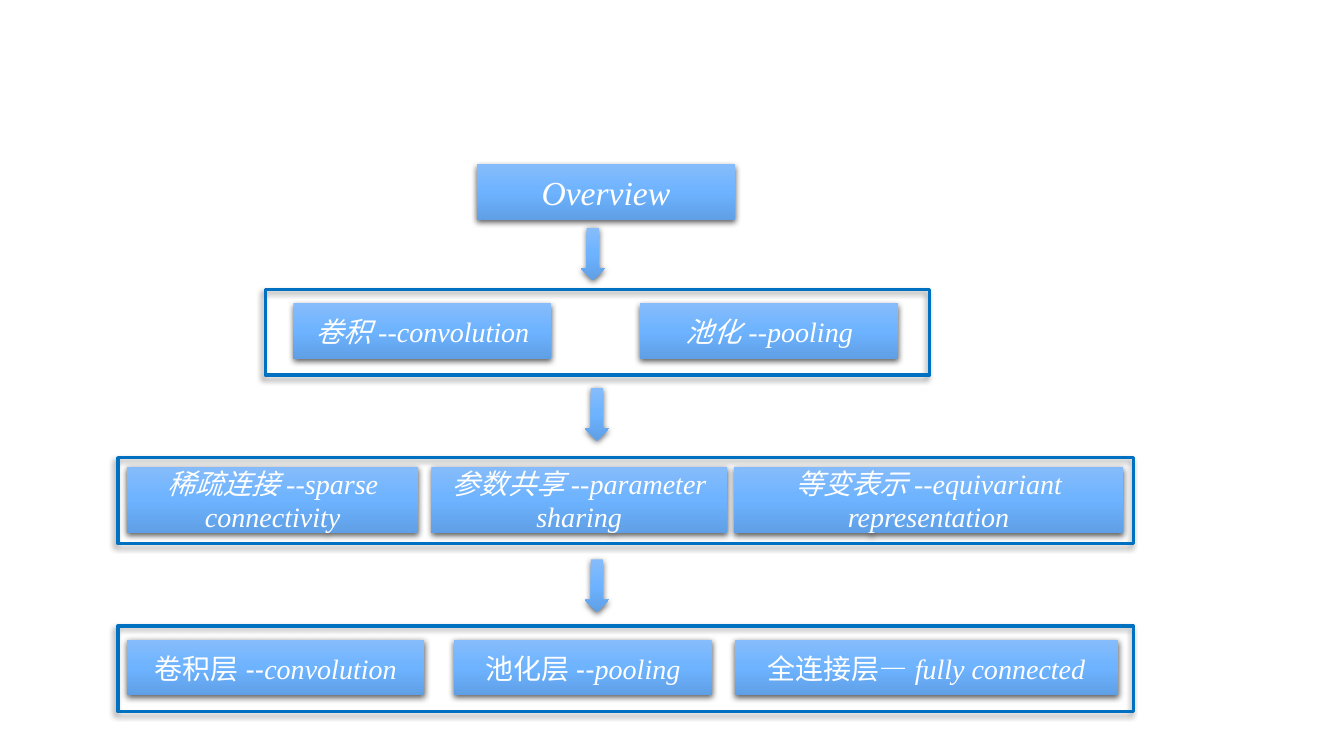
import copy
import pptx
import pptx.util
import pptx.dml.color
import pptx.enum.shapes
import pptx.enum.text
import pptx.oxml.ns
from lxml import etree

SHAPE = pptx.enum.shapes.MSO_SHAPE
RGB = pptx.dml.color.RGBColor.from_string
qn = pptx.oxml.ns.qn
THEME = {
    "gradient": [(0, "86BCFB"), (50, "6DB3FF"), (100, "5F9FE5")],
    "frame": "0070C0",
    "text": "FFFFFF",
    "shadow": "000000",
    "latin": "Times New Roman",
    "plain": "Arial",
    "heading": 24,
    "body": 20,
    "frame_width": 2.25,
}

prs = pptx.Presentation()
prs.slide_width = pptx.util.Inches(13.33)
prs.slide_height = pptx.util.Inches(7.5)
unit = prs.slide_height // 750
s = prs.slides.add_slide(prs.slide_layouts[6])


def add_block(kind, cell, filled=True):
    sp = s.shapes.add_shape(kind, *(n * unit for n in cell))
    if filled:
        sp.line.fill.background()
        sp.fill.gradient()
        sp.fill.gradient_angle = 270
        stops = sp._element.spPr.find(qn("a:gradFill")).find(qn("a:gsLst"))
        stops.insert(1, copy.deepcopy(stops[0]))
        for stop, (position, color) in zip(sp.fill.gradient_stops, THEME["gradient"]):
            stop.position = position / 100
            stop.color.rgb = RGB(color)
        alpha, blur, dist, angle = 63, 4.5, 1.5, 90
    else:
        sp.fill.background()
        sp.line.color.rgb = RGB(THEME["frame"])
        sp.line.width = pptx.util.Pt(THEME["frame_width"])
        alpha, blur, dist, angle = 40, 4, 3, 135
    sp.shadow.inherit = False
    effects = sp._element.spPr.find(qn("a:effectLst"))
    shadow = etree.SubElement(
        effects, qn("a:outerShdw"), blurRad=str(pptx.util.Pt(blur)),
        dist=str(pptx.util.Pt(dist)), dir=str(angle * 60000), rotWithShape="0")
    color = etree.SubElement(shadow, qn("a:srgbClr"), val=THEME["shadow"])
    etree.SubElement(color, qn("a:alpha"), val=str(alpha * 1000))
    return sp


def add_text(p, text, font=THEME["latin"], size=THEME["body"], italic=True):
    p.alignment = pptx.enum.text.PP_ALIGN.CENTER
    r = p.add_run()
    r.text = text
    r.font.name = font
    r.font.size = pptx.util.Pt(size)
    r.font.italic = italic
    r.font.color.rgb = RGB(THEME["text"])


first_row, row_pitch, row_height = 287, 167, 85
box_width, box_height = 256, 55
rows = [
    (263, 659, 14, box_height, [
        (291, box_width, "", "卷积--convolution"),
        (635, box_width, "", "池化--pooling"),
    ]),
    (117, 1007, 9, 66, [
        (126, 289, "", "稀疏连接--sparse connectivity"),
        (428, 293, "", "参数共享--parameter sharing"),
        (728, 386, "", "等变表示--equivariant representation"),
    ]),
    (117, 1007, 14, box_height, [
        (126, 295, "卷积层--", "convolution"),
        (450, box_width, "池化层--", "pooling"),
        (729, 380, "全连接层—", "fully connected"),
    ]),
]

for i, (left, width, inset, height, boxes) in enumerate(rows):
    top = first_row + i * row_pitch
    for box_left, box_w, plain, italic in boxes:
        sp = add_block(SHAPE.RECTANGLE, (box_left, top + inset, box_w, height))
        p = sp.text_frame.paragraphs[0]
        if plain:
            add_text(p, plain, font=THEME["plain"], italic=False)
        add_text(p, italic)
    add_block(SHAPE.RECTANGLE, (left, top, width, row_height), filled=False)

overview = add_block(SHAPE.RECTANGLE, (473, 163, box_width, box_height))
add_text(overview.text_frame.paragraphs[0], "Overview", size=THEME["heading"])

for left, top in [(576, 226), (580, 385), (580, 555)]:
    add_block(SHAPE.DOWN_ARROW, (left, top, 24, 52))

prs.save("out.pptx")
